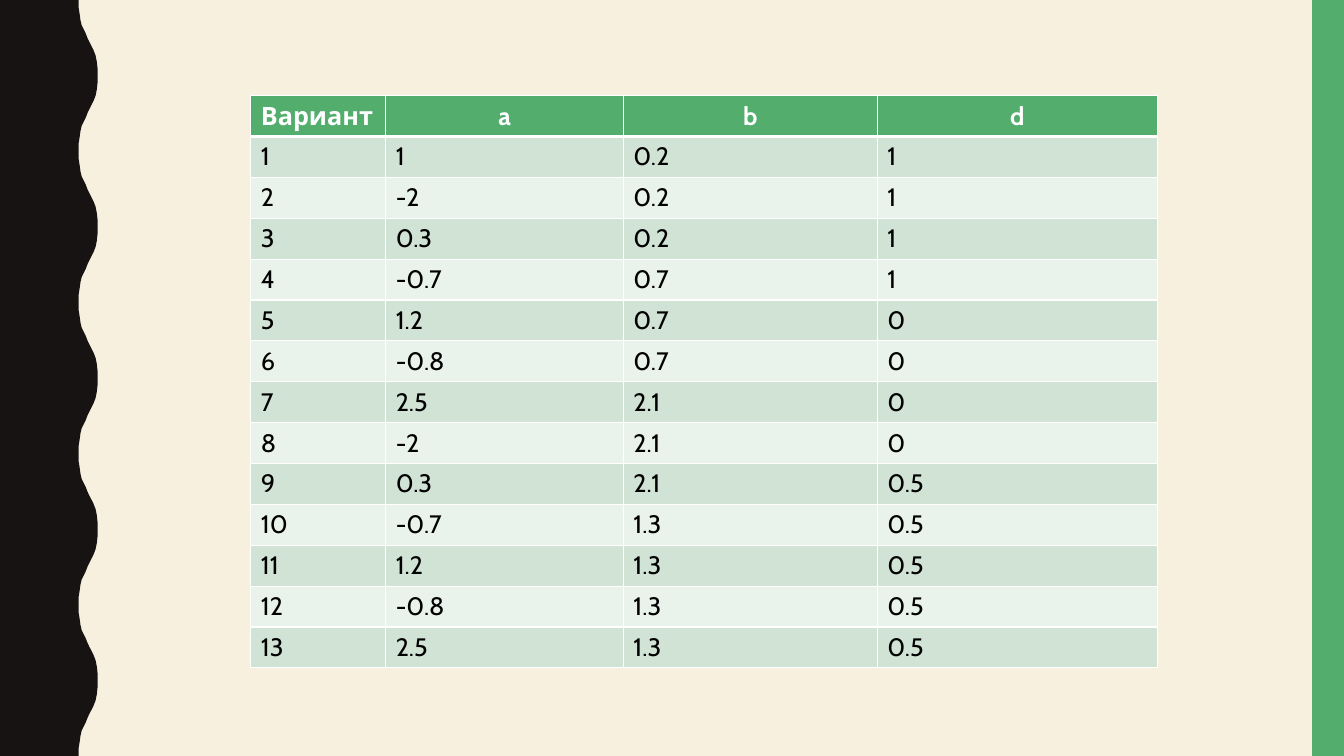
import pptx
import pptx.util
import pptx.dml.color
import pptx.enum.shapes
import pptx.enum.text
import pptx.oxml
import pptx.oxml.ns

Cm = pptx.util.Cm
COLORS = {
    "cream": "F7F0DF",
    "ink": "171312",
    "green": "53AE6E",
    "odd": "D1E3D5",
    "even": "E9F2EB",
    "white": "FFFFFF",
    "black": "000000",
}
SLIDE_WIDTH, SLIDE_HEIGHT = 33.87, 19.05
WAVE_COUNT = 5
HALF_WAVE = SLIDE_HEIGHT / (2 * WAVE_COUNT)
HALF_WAVE_PROFILE = [
    (1.98, 0), (1.98, 0.18), (2.01, 0.36), (2.03, 0.51), (2.06, 0.64),
    (2.11, 0.74), (2.16, 0.84), (2.21, 0.97), (2.26, 1.07), (2.31, 1.17),
    (2.36, 1.27), (2.41, 1.4), (2.44, 1.55), (2.46, 1.73), (2.46, HALF_WAVE),
]
HEADINGS = ["Вариант", "a", "b", "d"]
COLUMN_WIDTHS = [3.4, 5.99, 6.4, 7.06]
ROW_HEIGHT = 1.03
A_VALUES = ["1", "-2", "0.3", "-0.7", "1.2", "-0.8", "2.5",
            "-2", "0.3", "-0.7", "1.2", "-0.8", "2.5"]
B_VALUES = ["0.2"] * 3 + ["0.7"] * 3 + ["2.1"] * 3 + ["1.3"] * 4
D_VALUES = ["1"] * 4 + ["0"] * 4 + ["0.5"] * 5


def rgb(name):
    return pptx.dml.color.RGBColor.from_string(COLORS[name])


def wave_edge():
    edge = []
    for half in range(2 * WAVE_COUNT):
        if half % 2:
            edge += [(x, (half + 1) * HALF_WAVE - y) for x, y in reversed(HALF_WAVE_PROFILE)]
        else:
            edge += [(x, half * HALF_WAVE + y) for x, y in HALF_WAVE_PROFILE]
    return edge


class SlideBuilder:
    def __init__(self, slide):
        self.slide = slide
        self.font = {"name": "Cabin", "size": pptx.util.Pt(18)}
        slide.background.fill.solid()
        slide.background.fill.fore_color.rgb = rgb("cream")

    def paint(self, shape, color):
        shape.shadow.inherit = False
        shape.fill.solid()
        shape.fill.fore_color.rgb = rgb(color)
        shape.line.fill.background()

    def bar(self, left, top, width, height, color):
        rectangle = pptx.enum.shapes.MSO_SHAPE.RECTANGLE
        stripe = self.slide.shapes.add_shape(
            rectangle, Cm(left), Cm(top), Cm(width), Cm(height))
        self.paint(stripe, color)

    def outline(self, points, color):
        corners = [(Cm(x), Cm(y)) for x, y in points]
        builder = self.slide.shapes.build_freeform(*corners[0])
        builder.add_line_segments(corners[1:], close=True)
        self.paint(builder.convert_to_shape(), color)

    def border(self, cell, side, width):
        cell._tc.get_or_add_tcPr().append(pptx.oxml.parse_xml(
            f'<a:ln{side} {pptx.oxml.ns.nsdecls("a")} w="{pptx.util.Pt(width)}">'
            f'<a:solidFill><a:srgbClr val="{COLORS["white"]}"/></a:solidFill>'
            f'</a:ln{side}>'))

    def cell(self, cell, text, fill, color, bold, centered, borders):
        for side, width in borders.items():
            self.border(cell, side, width)
        cell.fill.solid()
        cell.fill.fore_color.rgb = rgb(fill)
        paragraph = cell.text_frame.paragraphs[0]
        align = pptx.enum.text.PP_ALIGN
        paragraph.alignment = align.CENTER if centered else align.LEFT
        run = paragraph.add_run()
        run.text = text
        for attribute, value in {**self.font, "bold": bold}.items():
            setattr(run.font, attribute, value)
        run.font.color.rgb = rgb(color)

    def table(self, left, top, widths, row_height, rows):
        table = self.slide.shapes.add_table(
            len(rows), len(widths), Cm(left), Cm(top),
            Cm(sum(widths)), Cm(row_height * len(rows))).table
        for column, width in zip(table.columns, widths):
            column.width = Cm(width)
        for row_index, values in enumerate(rows):
            table.rows[row_index].height = Cm(row_height)
            header = row_index == 0
            fill = "green" if header else "odd" if row_index % 2 else "even"
            borders = {"L": 1, "R": 1, "T": 3 if row_index == 1 else 1,
                       "B": 3 if header else 1}
            for column_index, text in enumerate(values):
                self.cell(table.cell(row_index, column_index), text, fill,
                          "white" if header else "black", header,
                          header and column_index > 0, borders)


def main():
    deck = pptx.Presentation()
    deck.slide_width, deck.slide_height = Cm(SLIDE_WIDTH), Cm(SLIDE_HEIGHT)
    builder = SlideBuilder(deck.slides.add_slide(deck.slide_layouts[6]))
    builder.outline([(0, 0), *wave_edge(), (0, SLIDE_HEIGHT)], "ink")
    builder.bar(33.07, 0, 0.8, SLIDE_HEIGHT, "green")
    variants = [str(number) for number in range(1, len(A_VALUES) + 1)]
    rows = [HEADINGS, *zip(variants, A_VALUES, B_VALUES, D_VALUES)]
    builder.table(6.32, 2.41, COLUMN_WIDTHS, ROW_HEIGHT, rows)
    deck.save("out.pptx")


if __name__ == "__main__":
    main()
